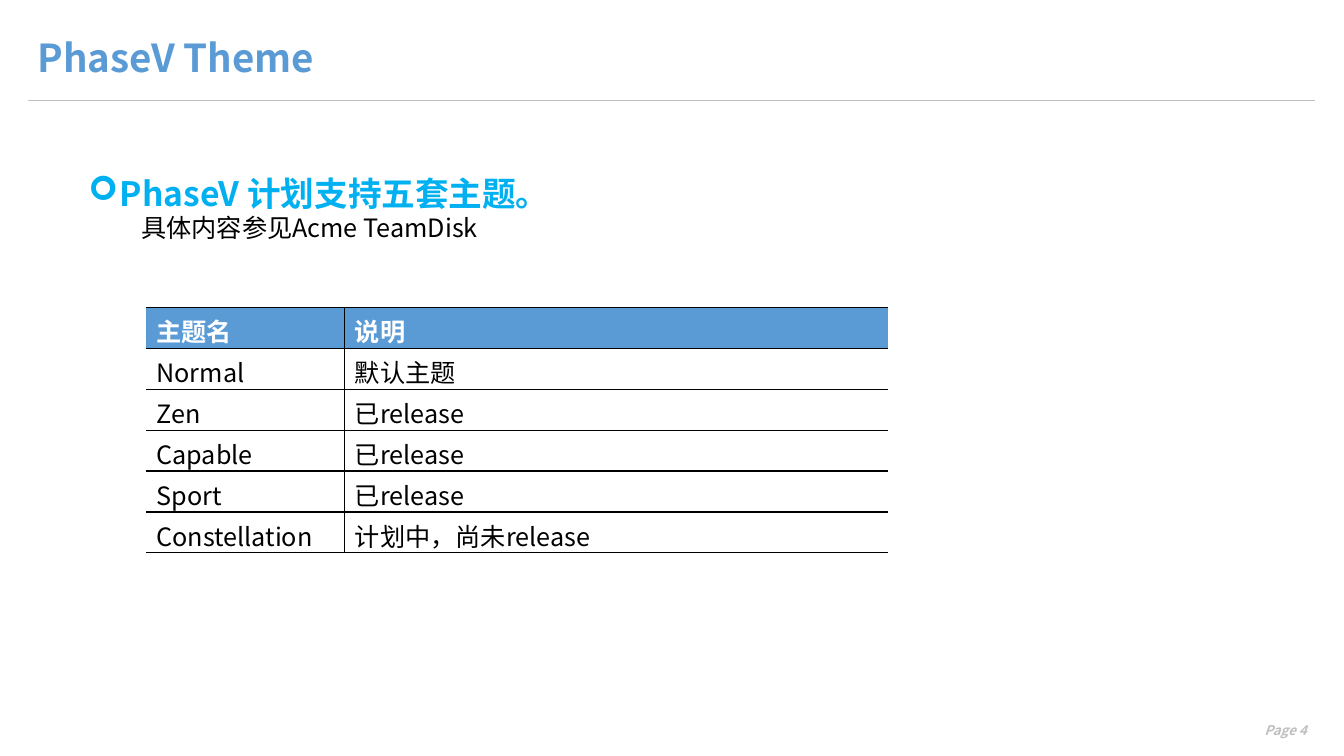
from pptx import Presentation, util as u
from pptx.dml.color import RGBColor
from pptx.enum import shapes, text
from pptx.oxml.ns import qn
from lxml import etree

# Content
TITLE = "PhaseV Theme"
HEADING = "PhaseV 计划支持五套主题。"
DETAIL = "具体内容参见Acme TeamDisk"
FOOTER = "Page 4"
THEMES = [
    ("主题名", "说明"),
    ("Normal", "默认主题"),
    ("Zen", "已release"),
    ("Capable", "已release"),
    ("Sport", "已release"),
    ("Constellation", "计划中，尚未release"),
]
COLORS = {"blue": "5B9BD5", "cyan": "00B0F0", "grey": "BFBFBF",
          "black": "000000", "white": "FFFFFF"}
FONT = "Noto Sans CJK SC"
COLUMN_WIDTHS = [u.Cm(5), u.Cm(13.7)]
ROW_HEIGHT = u.Cm(1.03)


def color(name):
    return RGBColor.from_string(COLORS[name])


def write(para, words, size=18, ink="black", bold=False, italic=False):
    span = para.add_run()
    span.text = words
    font = span.font
    font.name, font.size, font.bold, font.italic = FONT, u.Pt(size), bold, italic
    font.color.rgb = color(ink)
    east = etree.SubElement(span._r.get_or_add_rPr(), qn("a:ea"))
    east.set("typeface", FONT)


def add_box(left, top, width, height, wrap=True):
    box = page.shapes.add_textbox(u.Cm(left), u.Cm(top), u.Cm(width), u.Cm(height))
    box.text_frame.word_wrap = wrap
    return box.text_frame


def set_borders(cell, sides):
    properties = cell._tc.get_or_add_tcPr()
    for side in "LRTB":
        line = etree.SubElement(properties, qn("a:ln" + side), w=str(u.Pt(1)))
        if side in sides:
            fill = etree.SubElement(line, qn("a:solidFill"))
            etree.SubElement(fill, qn("a:srgbClr"), val=COLORS["black"])
        else:
            etree.SubElement(line, qn("a:noFill"))


deck = Presentation()
deck.slide_width, deck.slide_height = u.Cm(33.87), u.Cm(19.05)
page = deck.slides.add_slide(deck.slide_layouts[6])

# Rule under the title
rule = page.shapes.add_connector(shapes.MSO_CONNECTOR.STRAIGHT,
                                 u.Cm(0.7), u.Cm(2.53), u.Cm(33.15), u.Cm(2.53))
rule.line.color.rgb = color("grey")
rule.line.width = u.Pt(0.5)
etree.SubElement(rule._element.spPr, qn("a:effectLst"))

# Page number
frame = add_box(26.75, 18.08, 6.43, 0.64)
frame.paragraphs[0].alignment = text.PP_ALIGN.RIGHT
write(frame.paragraphs[0], FOOTER, size=9.5, ink="grey", bold=True, italic=True)

# Title
frame = add_box(0.7, 0.7, 19.2, 1.63)
frame.vertical_anchor = text.MSO_ANCHOR.MIDDLE
frame.paragraphs[0].line_spacing = 0.9
write(frame.paragraphs[0], TITLE, size=27.5, ink="blue", bold=True)

# Heading with arrow bullet, then an indented detail line
frame = add_box(1.98, 4.22, 12.07, 2.31, wrap=False)
frame.auto_size = text.MSO_AUTO_SIZE.SHAPE_TO_FIT_TEXT
heading, detail = frame.paragraphs[0], frame.add_paragraph()
indent = u.Cm(0.79)
settings = heading._p.get_or_add_pPr()
settings.set("marL", str(indent))
settings.set("indent", str(-indent))
etree.SubElement(settings, qn("a:buFont"), typeface="Wingdings")
etree.SubElement(settings, qn("a:buChar"), char="➢")
write(heading, HEADING, size=24, ink="cyan", bold=True)
detail._p.get_or_add_pPr().set("marL", str(u.Cm(1.33)))
write(detail, DETAIL)

# Theme table
table = page.shapes.add_table(len(THEMES), len(COLUMN_WIDTHS), u.Cm(3.69), u.Cm(7.75),
                              sum(COLUMN_WIDTHS), ROW_HEIGHT * len(THEMES)).table
table.horz_banding = False
for column, width in zip(table.columns, COLUMN_WIDTHS):
    column.width = width
for r, row in enumerate(THEMES):
    table.rows[r].height = ROW_HEIGHT
    header = r == 0
    for c, words in enumerate(row):
        cell = table.cell(r, c)
        cell.margin_bottom = 0
        set_borders(cell, "TBR" if c == 0 else "TBL")
        if header:
            cell.fill.solid()
            cell.fill.fore_color.rgb = color("blue")
        else:
            cell.fill.background()
        write(cell.text_frame.paragraphs[0], words,
              ink="white" if header else "black", bold=header)

deck.save("out.pptx")
